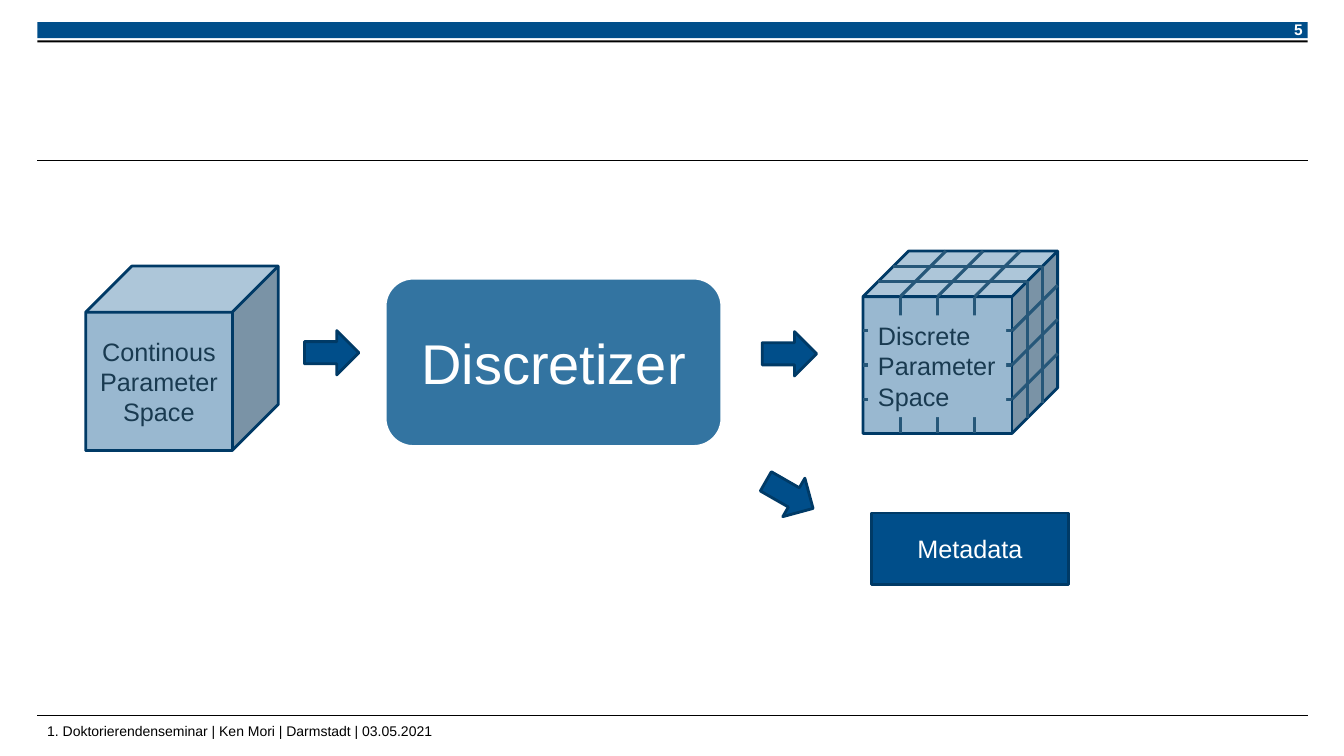
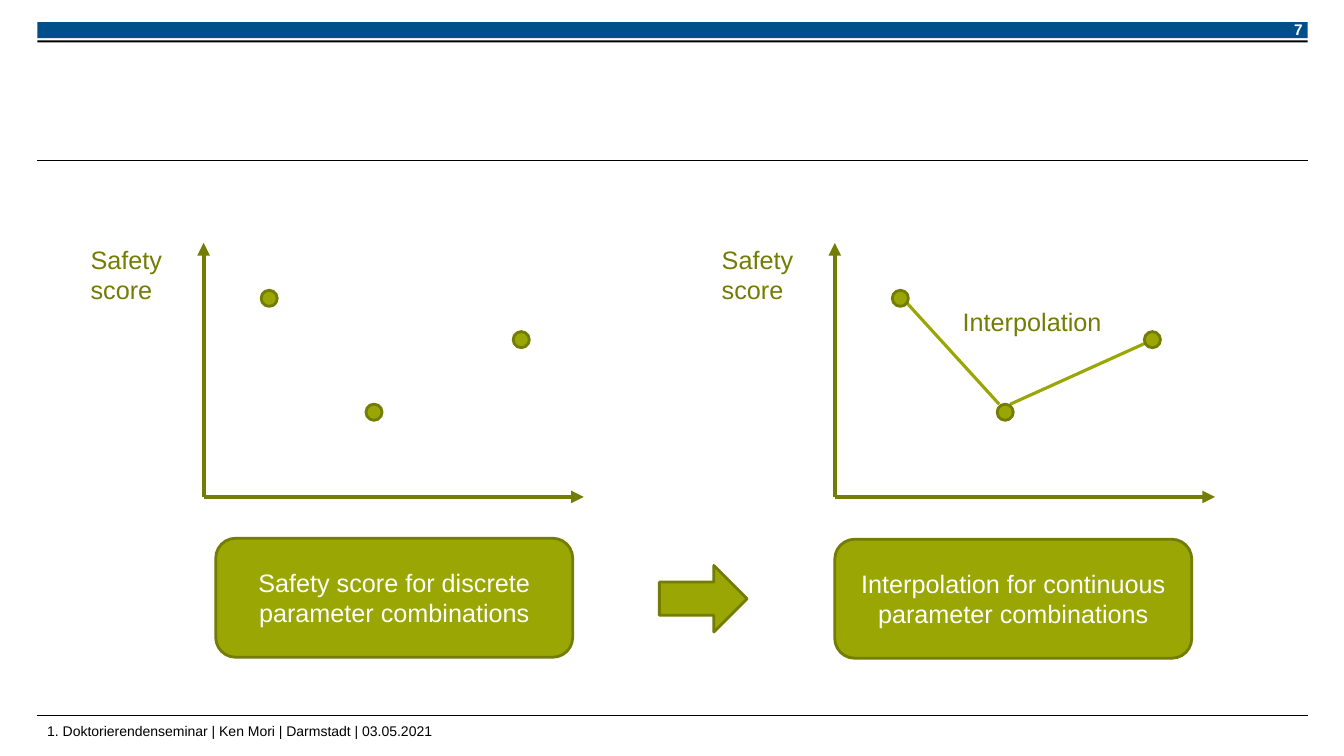
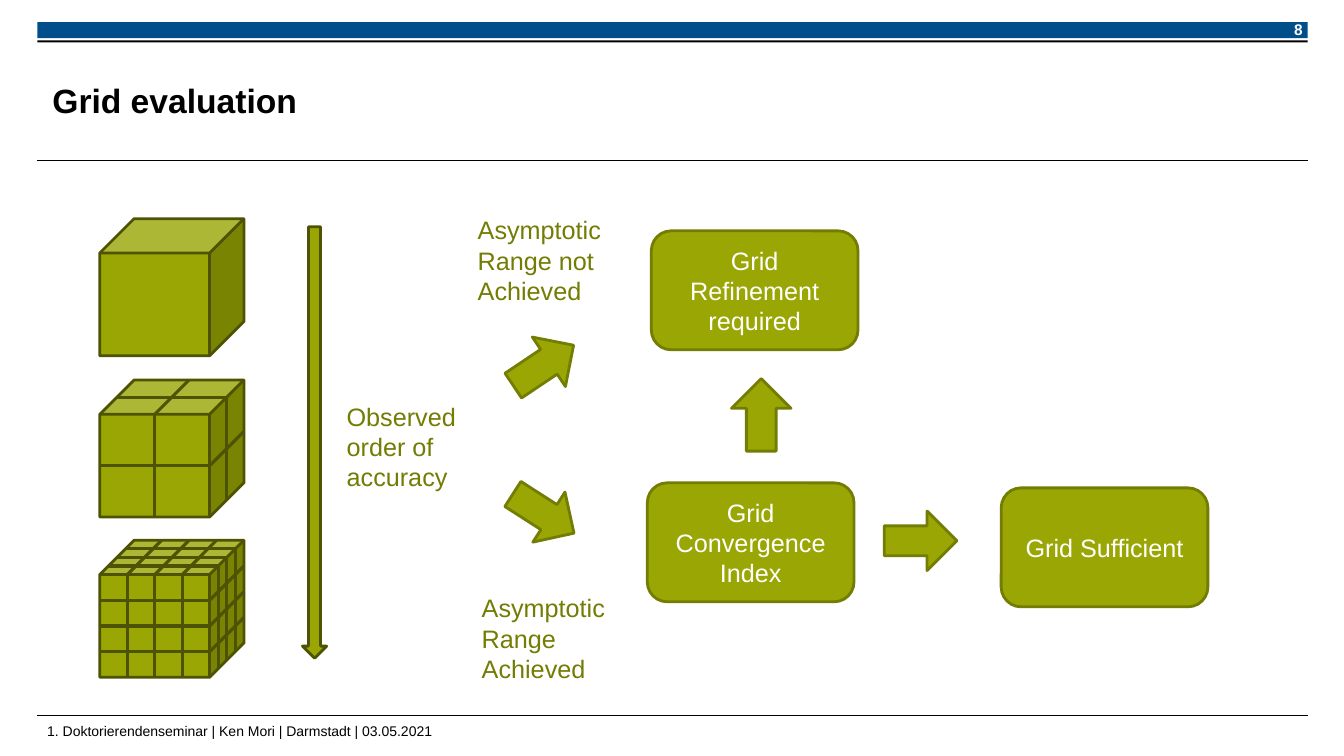
"""Build three slides on discretizing parameter spaces and evaluating grids."""
import pptx
import pptx.dml.color
import pptx.enum.shapes
import pptx.enum.text
import pptx.oxml
import pptx.oxml.ns
import pptx.util
from pptx.util import Inches

FONT = "Arial"
COLORS = {
    "black": "000000", "white": "FFFFFF",
    "blue": "004E8A", "navy": "003A66", "steel": "3374A1",
    "sky": "99B8D0", "ink": "193A50", "grid_blue": "265779",
    "olive": "99A604", "moss": "737C03", "dark_moss": "4D5302",
}
STYLES = {
    "band": ("blue", None, "white"),
    "rule": ("black", None, "white"),
    "space": ("sky", "navy", "ink"),
    "label": ("sky", None, "ink"),
    "process": ("steel", "white", "white"),
    "blue": ("blue", "navy", "white"),
    "olive": ("olive", "moss", "white"),
    "grid": ("olive", "dark_moss", "white"),
}
KIND = pptx.enum.shapes.MSO_SHAPE
ALIGN = pptx.enum.text.PP_ALIGN
ANCHOR = pptx.enum.text.MSO_ANCHOR
FOOTER = "1. Doktorierendenseminar | Ken Mori | Darmstadt | 03.05.2021"
LEFT, RIGHT = 0.37, 12.97
RULES = [1.59, 7.1]

BLUE_ARROWS = [(3.02, 3.28, 0), (7.56, 3.29, 0), (7.56, 4.69, 29.8)]

PLOT_LEFTS = [2.02, 8.28]
PLOT_BASE, AXIS_HEIGHT, AXIS_WIDTH = 4.93, 2.52, 3.77
DOTS = [(0.57, 2.88), (1.61, 4.01), (3.07, 3.29)]
DOT_SIZE = 0.16
INTERPOLATION = [((8.98, 2.99), (9.91, 4.01)), ((11.37, 3.4), (10.02, 4.01))]
SCORE_BOXES = [
    ((2.14, 5.34, 3.54, 1.18), "Safety score for discrete parameter combinations"),
    ((8.28, 5.35, 3.54, 1.18), "Interpolation for continuous parameter combinations"),
]

CUBE_TOPS = [2.17, 3.77, 5.36]
CUBE_DIVISIONS = [1, 2, 4]
GRID_BOXES = [
    (6.46, 2.29, "Grid Refinement required"),
    (6.42, 4.79, "Grid Convergence Index"),
    (9.93, 4.84, "Grid Sufficient"),
]
GRID_ARROWS = [(5.03, 3.33, 326.2), (5.03, 4.8, 32.7), (7.19, 3.82, 270), (8.77, 5.07, 0)]
GRID_LABELS = [
    ((3.34, 3.93, 1.34, 1.01), "Observed order of accuracy"),
    ((4.64, 2.08, 1.43, 1.01), "Asymptotic Range not Achieved"),
    ((4.68, 5.83, 1.43, 1.01), "Asymptotic Range Achieved"),
]


def rgb(name):
    return pptx.dml.color.RGBColor.from_string(COLORS[name])


def write(shape, text, color, size=18, bold=False, align=ALIGN.LEFT,
          anchor=ANCHOR.TOP, wrap=True):
    frame = shape.text_frame
    frame.word_wrap = wrap
    frame.vertical_anchor = anchor
    for index, line in enumerate(text.split("\n")):
        para = frame.add_paragraph() if index else frame.paragraphs[0]
        para.alignment = align
        span = para.add_run()
        span.text = line
        span.font.name = FONT
        span.font.size = pptx.util.Pt(size)
        span.font.bold = bold
        span.font.color.rgb = rgb(color)
    return frame


def add_text(page, at, text, color="moss", **options):
    box = page.shapes.add_textbox(*map(Inches, at))
    return write(box, text, color, **options)


def add_block(page, kind, at, style, text="", rotation=0, size=18,
              align=ALIGN.CENTER, anchor=ANCHOR.MIDDLE):
    fill, line, ink = STYLES[style]
    block = page.shapes.add_shape(kind, *map(Inches, at))
    block.shadow.inherit = False
    block.rotation = rotation
    block.fill.solid()
    block.fill.fore_color.rgb = rgb(fill)
    if line:
        block.line.color.rgb = rgb(line)
        block.line.width = pptx.util.Pt(2)
    else:
        block.line.fill.background()
    if text:
        write(block, text, ink, size, align=align, anchor=anchor)


def add_line(page, start, end, color, width=2.25, arrow=False):
    line = page.shapes.add_connector(
        pptx.enum.shapes.MSO_CONNECTOR.STRAIGHT, *map(Inches, (*start, *end)))
    line.line.color.rgb = rgb(color)
    line.line.width = pptx.util.Pt(width)
    if arrow:
        tip = pptx.oxml.parse_xml(
            f'<a:tailEnd {pptx.oxml.ns.nsdecls("a")} type="triangle"/>')
        line.line._get_or_add_ln().append(tip)
    line._element.spPr.append(
        pptx.oxml.parse_xml(f'<a:effectLst {pptx.oxml.ns.nsdecls("a")}/>'))


def add_cube(page, at, style, color, front_parts, depth_parts):
    add_block(page, KIND.CUBE, at, style)
    left, top, width, height = at
    depth = min(width, height) / 4
    face_width, face_height = width - depth, height - depth
    face_top, face_right = top + depth, left + face_width
    for part in range(1, front_parts):
        x = left + face_width * part / front_parts
        y = face_top + face_height * part / front_parts
        add_line(page, (x, face_top), (x, top + height), color)
        add_line(page, (x, face_top), (x + depth, top), color)
        add_line(page, (left, y), (face_right, y), color)
        add_line(page, (face_right, y), (left + width, y - depth), color)
    for part in range(1, depth_parts):
        shift = depth * part / depth_parts
        x, y = face_right + shift, face_top - shift
        add_line(page, (left + shift, y), (x, y), color)
        add_line(page, (x, y), (x, y + face_height), color)


def add_page(deck, number, title=""):
    page = deck.slides.add_slide(deck.slide_layouts[6])
    add_block(page, KIND.RECTANGLE, (LEFT, 0.22, RIGHT - LEFT, 0.16), "band")
    add_block(page, KIND.RECTANGLE, (LEFT, 0.4, RIGHT - LEFT, 0.02), "rule")
    for y in RULES:
        add_line(page, (LEFT, y), (RIGHT, y), "black", 0.6)
    add_text(page, (LEFT, 7.12, 7.55, 0.23), FOOTER, "black", size=10)
    add_text(page, (12.5, 0.15, 0.52, 0.29), str(number), "white", size=11,
             bold=True, align=ALIGN.RIGHT, wrap=False)
    if title:
        frame = add_text(page, (0.52, 0.53, 10.54, 0.92), title, "black",
                         size=24, bold=True, anchor=ANCHOR.MIDDLE)
        frame.margin_left = frame.margin_right = 0
        frame.margin_top = frame.margin_bottom = 0
    return page


def build_discretizer(deck):
    page = add_page(deck, 5)
    add_block(page, KIND.CUBE, (0.85, 2.64, 1.91, 1.83), "space",
              "Continous\nParameter Space")
    add_block(page, KIND.ROUNDED_RECTANGLE, (3.82, 2.76, 3.34, 1.67), "process",
              "Discretizer", size=40)
    add_cube(page, (8.56, 2.49, 1.93, 1.81), "space", "grid_blue", 4, 3)
    add_block(page, KIND.RECTANGLE, (8.61, 3.13, 1.37, 1.01), "label",
              "Discrete Parameter Space", align=ALIGN.LEFT, anchor=ANCHOR.TOP)
    add_block(page, KIND.RECTANGLE, (8.64, 5.09, 1.96, 0.71), "blue", "Metadata")
    for left, top, rotation in BLUE_ARROWS:
        add_block(page, KIND.RIGHT_ARROW, (left, top, 0.54, 0.44), "blue",
                  rotation=rotation)


def build_interpolation(deck):
    page = add_page(deck, 7)
    for start, end in INTERPOLATION:
        add_line(page, start, end, "olive")
    add_text(page, (9.45, 2.99, 1.68, 0.4), "Interpolation")
    for left in PLOT_LEFTS:
        origin = (left, PLOT_BASE)
        add_line(page, origin, (left, PLOT_BASE - AXIS_HEIGHT), "moss", 3, True)
        add_line(page, origin, (left + AXIS_WIDTH, PLOT_BASE), "moss", 3, True)
        for offset, top in DOTS:
            add_block(page, KIND.OVAL, (left + offset, top, DOT_SIZE, DOT_SIZE), "olive")
        add_text(page, (left - 1.22, 2.37, 1.22, 0.71), "Safety score")
    add_block(page, KIND.RIGHT_ARROW, (6.54, 5.61, 0.87, 0.66), "olive")
    for at, text in SCORE_BOXES:
        add_block(page, KIND.ROUNDED_RECTANGLE, at, "olive", text)


def build_evaluation(deck):
    page = add_page(deck, 8, "Grid evaluation")
    for top, parts in zip(CUBE_TOPS, CUBE_DIVISIONS):
        add_cube(page, (0.99, top, 1.43, 1.36), "grid", "dark_moss", parts, parts)
    add_block(page, KIND.DOWN_ARROW, (3, 2.25, 0.24, 4.28), "grid")
    for at, text in GRID_LABELS:
        add_text(page, at, text)
    for left, top, text in GRID_BOXES:
        add_block(page, KIND.ROUNDED_RECTANGLE, (left, top, 2.05, 1.18), "olive", text)
    for left, top, rotation in GRID_ARROWS:
        add_block(page, KIND.RIGHT_ARROW, (left, top, 0.72, 0.59), "olive",
                  rotation=rotation)


def main():
    deck = pptx.Presentation()
    deck.slide_width, deck.slide_height = Inches(13.33), Inches(7.5)
    build_discretizer(deck)
    build_interpolation(deck)
    build_evaluation(deck)
    deck.save("out.pptx")


if __name__ == "__main__":
    main()
